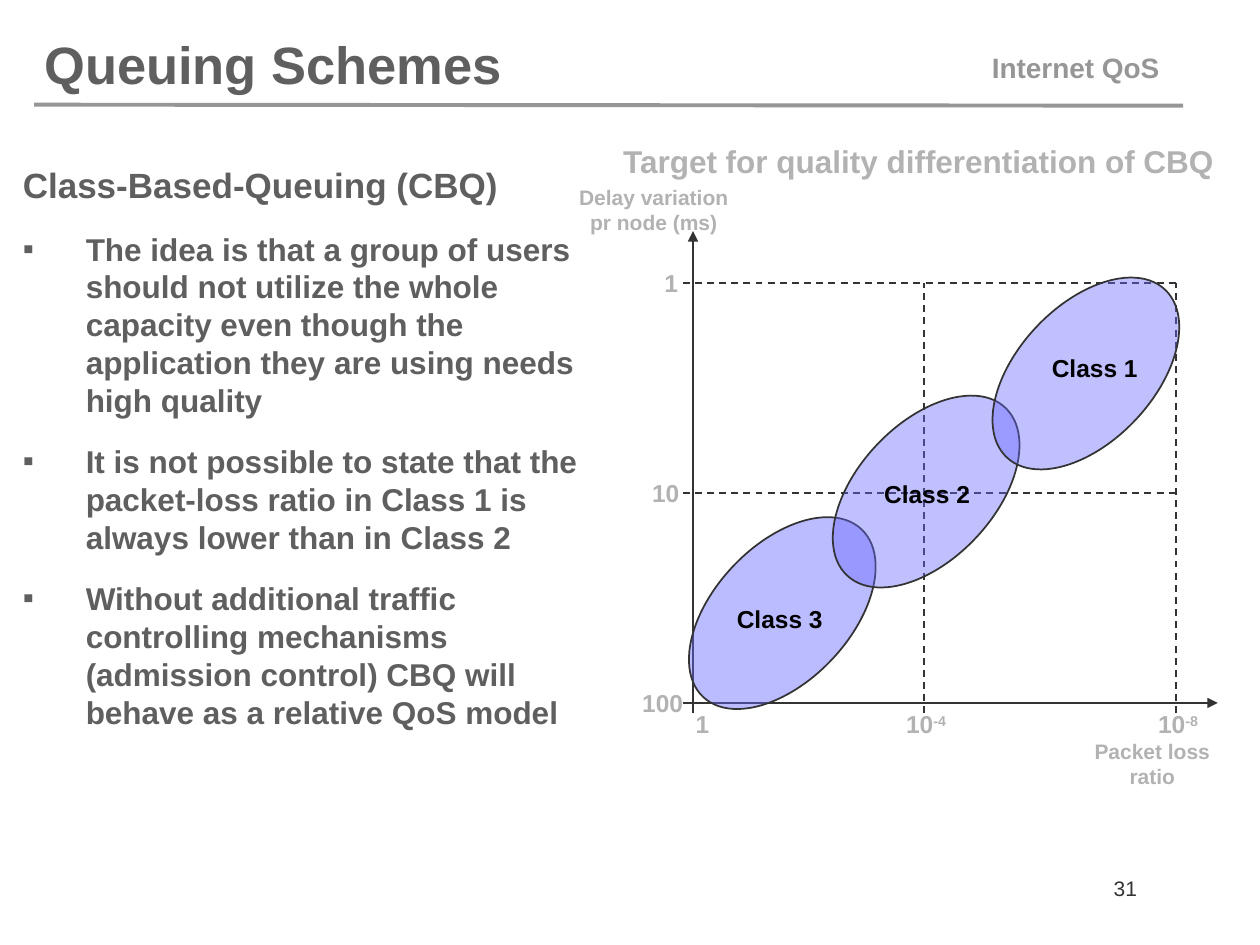
from dataclasses import dataclass

from lxml.etree import SubElement
from pptx import Presentation
from pptx.dml.color import RGBColor
from pptx.enum.dml import MSO_LINE
from pptx.enum.shapes import MSO_CONNECTOR, MSO_SHAPE
from pptx.enum.text import MSO_ANCHOR, MSO_AUTO_SIZE, PP_ALIGN
from pptx.oxml.ns import qn
from pptx.util import Cm, Pt


@dataclass(frozen=True)
class Theme:
    font: str = "Arial"
    dark: str = "5F5F5F"
    mid: str = "969696"
    light: str = "B2B2B2"
    ink: str = "333333"
    black: str = "000000"
    paper: str = "FFFFFF"
    ellipse: str = "6666FF"
    title: int = 30
    heading: int = 20
    body: int = 18
    section: int = 16
    tick: int = 14
    small: int = 12


THEME = Theme()

TITLE = "Queuing Schemes"
SECTION = "Internet QoS"
PAGE = "31"
HEADING = "Class-Based-Queuing (CBQ)"
BULLETS = [
    "The idea is that a group of users should not utilize the whole capacity "
    "even though the application they are using needs high quality",
    "It is not possible to state that the packet-loss ratio in Class 1 is "
    "always lower than in Class 2",
    "Without additional traffic controlling mechanisms (admission control) "
    "CBQ will behave as a relative QoS model",
]
CHART_TITLE = "Target for quality differentiation of CBQ"
DELAY_AXIS = ["Delay variation", "pr node (ms)"]
LOSS_AXIS = ["Packet loss", "ratio"]
# Tick text, exponent, centre of the label (cm)
DELAY_TICKS = [("1", 13.53), ("10", 13.42), ("100", 13.36)]
LOSS_TICKS = [("1", "", 14.16), ("10", "-4", 18.67), ("10", "-8", 23.75)]
# Name, ellipse centre, label centre (cm), opacity in percent
CLASSES = [
    ("Class 3", (15.77, 12.36), (15.72, 12.49), 44),
    ("Class 2", (18.67, 9.91), (18.69, 9.96), 41),
    ("Class 1", (21.89, 7.53), (22.07, 7.42), 41),
]

# Plot geometry (cm)
LOSS_X = [13.97, 18.63, 23.71]
DELAY_Y = [5.71 + 4.23 * row for row in range(3)]
OVERHANG = 0.21
ARROW_X, ARROW_Y = 24.55, 4.66
TICK_W, TICK_H = 1.45, 0.86
CLASS_W = 2.3
ELLIPSE_W, ELLIPSE_H, ELLIPSE_TURN = 2.74, 4.65, 43.4


def add_run(paragraph, text, size, color, bold=True):
    run = paragraph.add_run()
    run.text = text
    run.font.name = THEME.font
    run.font.size = Pt(size)
    run.font.bold = bold
    run.font.color.rgb = RGBColor.from_string(color)
    return run


def add_label(slide, lines, box, size, color, bold=True,
              align=PP_ALIGN.CENTER, wrap=False):
    frame = slide.shapes.add_textbox(*map(Cm, box)).text_frame
    frame.word_wrap = wrap
    frame.auto_size = MSO_AUTO_SIZE.SHAPE_TO_FIT_TEXT
    for number, line in enumerate(lines):
        paragraph = frame.add_paragraph() if number else frame.paragraphs[0]
        paragraph.alignment = align
        add_run(paragraph, line, size, color, bold)
    return frame


def centred(x, y, width, height):
    """Box of the given size around a centre point."""
    return x - width / 2, y - height / 2, width, height


def add_line(slide, start, end, color=THEME.ink, width=1, dashed=False, arrow=False):
    line = slide.shapes.add_connector(
        MSO_CONNECTOR.STRAIGHT, *map(Cm, (*start, *end)))
    line.line.color.rgb = RGBColor.from_string(color)
    line.line.width = Pt(width)
    if dashed:
        line.line.dash_style = MSO_LINE.DASH
    properties = line._element.spPr
    if arrow:
        SubElement(properties.find(qn("a:ln")), qn("a:tailEnd"), type="triangle")
    SubElement(properties, qn("a:effectLst"))


def add_header(slide):
    add_label(slide, [PAGE], (22.2, 17.53, 2.44, 0.76), THEME.small, THEME.ink,
              bold=False, align=PP_ALIGN.LEFT, wrap=True)
    add_line(slide, (0.69, 2.11), (23.85, 2.13), THEME.mid, 2.25)
    add_label(slide, [SECTION], (19.08, 0.89, 5.21, 0.94), THEME.section,
              THEME.mid, wrap=True)
    title = slide.shapes.title
    title.left, title.top, title.width, title.height = map(Cm, (0.64, 0.33, 19.25, 2.11))
    frame = title.text_frame
    frame.auto_size = MSO_AUTO_SIZE.NONE
    frame.vertical_anchor = MSO_ANCHOR.MIDDLE
    paragraph = frame.paragraphs[0]
    paragraph.alignment = PP_ALIGN.LEFT
    paragraph.line_spacing = 0.85
    add_run(paragraph, TITLE, THEME.title, THEME.dark)


def add_bullet(paragraph, text):
    properties = paragraph._p.get_or_add_pPr()
    properties.set("marL", str(Cm(1.27)))
    properties.set("indent", str(-Cm(1.27)))
    paragraph.space_before = Pt(13.5)
    bullet_color = SubElement(properties, qn("a:buClr"))
    SubElement(bullet_color, qn("a:srgbClr"), val=THEME.dark)
    SubElement(properties, qn("a:buFont"), typeface=THEME.font)
    SubElement(properties, qn("a:buChar"), char="▪")
    add_run(paragraph, text, THEME.body, THEME.dark)


def add_body(slide):
    body = slide.shapes.add_textbox(*map(Cm, (0.21, 3.18, 12.5, 14.2)))
    body.fill.solid()
    body.fill.fore_color.rgb = RGBColor.from_string(THEME.paper)
    frame = body.text_frame
    frame.word_wrap = True
    add_run(frame.paragraphs[0], HEADING, THEME.heading, THEME.dark)
    for bullet in BULLETS:
        add_bullet(frame.add_paragraph(), bullet)


def add_axes(slide):
    left, right = LOSS_X[0], LOSS_X[-1]
    top, bottom = DELAY_Y[0], DELAY_Y[-1]
    start_x, start_y = left - OVERHANG, bottom + OVERHANG
    add_line(slide, (start_x, bottom), (ARROW_X, bottom), arrow=True)
    add_line(slide, (left, start_y), (left, ARROW_Y), arrow=True)
    for y in DELAY_Y[:-1]:
        add_line(slide, (start_x, y), (right, y), dashed=True)
    for x in LOSS_X[1:]:
        add_line(slide, (x, start_y), (x, top), dashed=True)

    for (text, x), y in zip(DELAY_TICKS, DELAY_Y):
        add_label(slide, [text], centred(x, y, TICK_W, TICK_H), THEME.tick, THEME.light)
    for text, exponent, x in LOSS_TICKS:
        frame = add_label(slide, [text], (x - TICK_W / 2, bottom, TICK_W, TICK_H),
                          THEME.tick, THEME.light)
        if exponent:
            run = add_run(frame.paragraphs[0], exponent, THEME.tick, THEME.light)
            run.font._element.set("baseline", "30000")
    add_label(slide, DELAY_AXIS, (11.28, 3.6, 3.8, 1.27), THEME.small, THEME.light)
    add_label(slide, LOSS_AXIS, (21.68, 14.76, 3.1, 1.27), THEME.small, THEME.light)


def add_classes(slide):
    for _, centre, _, opacity in CLASSES:
        ellipse = slide.shapes.add_shape(
            MSO_SHAPE.OVAL, *map(Cm, centred(*centre, ELLIPSE_W, ELLIPSE_H)))
        ellipse.rotation = ELLIPSE_TURN
        ellipse.shadow.inherit = False
        ellipse.fill.solid()
        ellipse.fill.fore_color.rgb = RGBColor.from_string(THEME.ellipse)
        color = ellipse._element.spPr.find(qn("a:solidFill")).find(qn("a:srgbClr"))
        SubElement(color, qn("a:alpha"), val=str(opacity * 1000))
        ellipse.line.color.rgb = RGBColor.from_string(THEME.ink)
        ellipse.line.width = Pt(1)
    for name, _, centre, _ in CLASSES:
        add_label(slide, [name], centred(*centre, CLASS_W, TICK_H), THEME.tick, THEME.black)


def main():
    deck = Presentation()
    deck.slide_width, deck.slide_height = Cm(25.4), Cm(19.05)
    slide = deck.slides.add_slide(deck.slide_layouts[5])
    add_header(slide)
    add_body(slide)
    add_label(slide, [CHART_TITLE], (12.17, 2.74, 12.7, 1.02), THEME.body,
              THEME.light, wrap=True)
    add_axes(slide)
    add_classes(slide)
    deck.save("out.pptx")


if __name__ == "__main__":
    main()
